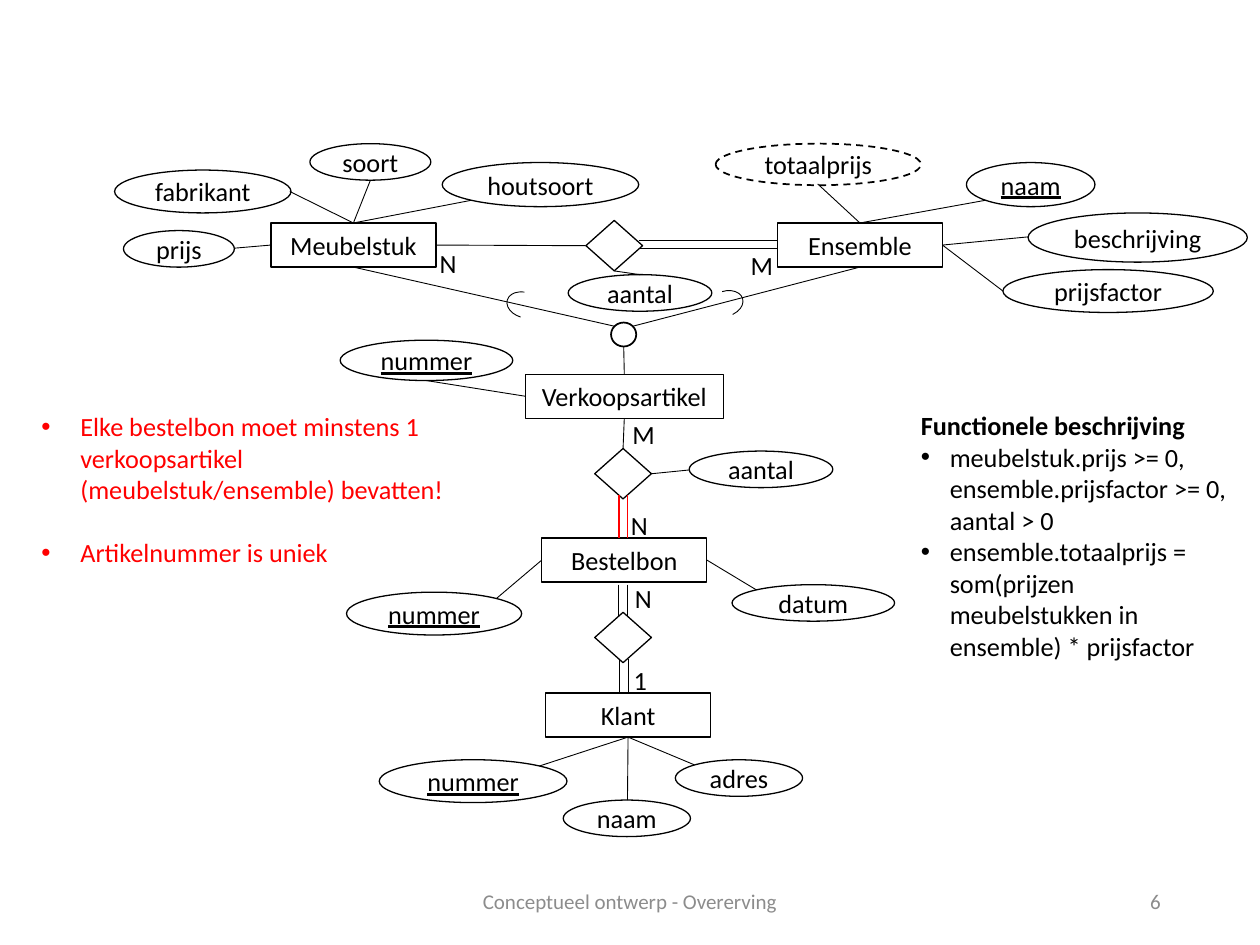
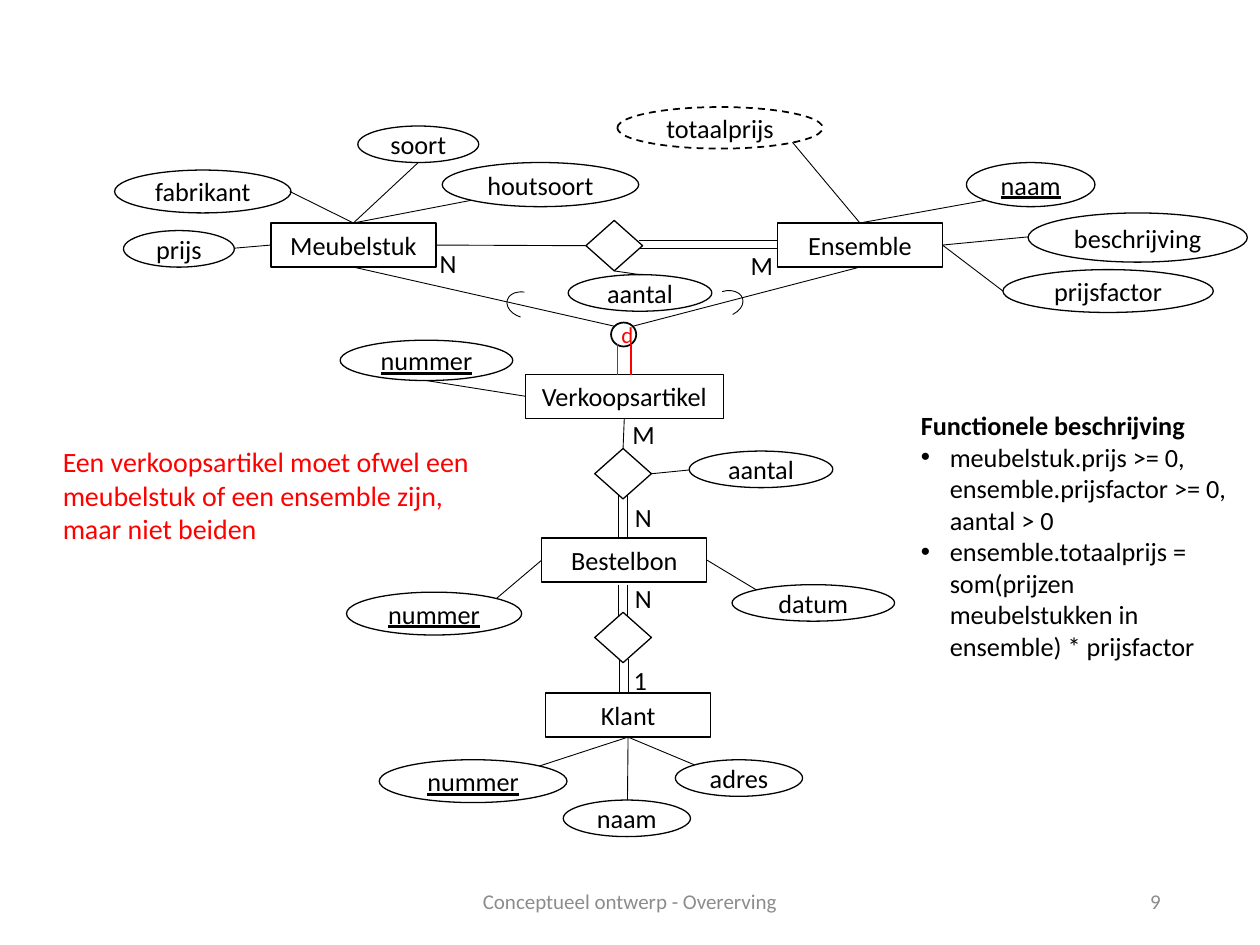
from dataclasses import dataclass
from typing import NamedTuple, Optional, Union

from lxml import etree
from pptx import Presentation
from pptx import util as u
from pptx.dml.color import RGBColor
from pptx.enum import dml, shapes, text
from pptx.oxml import ns

FONT = "Calibri"
BLACK, WHITE, RED, GREY = "000000", "FFFFFF", "FF0000", "8C8C8C"
SIZE = 15
ENTITY_HEIGHT = 0.35
DIAMOND_WIDTH, DIAMOND_HEIGHT = 0.45, 0.4
TOP, LEFT, BOTTOM, RIGHT = range(4)
CENTER = text.PP_ALIGN.CENTER
MIDDLE = text.MSO_ANCHOR.MIDDLE


class Box(NamedTuple):
    left: float
    top: float
    width: float
    height: float


class Entity(NamedTuple):
    name: str
    left: float
    top: float
    width: float = 1.31


class Relation(NamedTuple):
    name: str
    left: float
    top: float


class Attribute(NamedTuple):
    name: str
    box: Box
    is_key: bool = False
    is_derived: bool = False


class Joint(NamedTuple):
    name: str
    side: int


class Point(NamedTuple):
    x: float
    y: float


End = Union[Joint, Point]


class Link(NamedTuple):
    start: End
    end: End
    color: str = BLACK
    width: float = 0.5


class Label(NamedTuple):
    content: str
    box: Box


@dataclass
class Line:
    content: str
    color: str = BLACK
    size: float = SIZE
    bold: bool = False
    underline: bool = False
    align: Optional[text.PP_ALIGN] = None
    indent: float = 0
    space_before: float = 0


@dataclass
class Variant:
    number: str
    attributes: list[Attribute]
    links: list[Link]
    order_label: Label
    note: Box
    note_lines: list[Line]
    marker: Optional[Label] = None


def double(start: Point, end: Point, dx: float = 0, dy: float = 0,
           color: str = BLACK, width: float = 0.5) -> list[Link]:
    return [Link(Point(start.x + dx * n, start.y + dy * n),
                 Point(end.x + dx * n, end.y + dy * n), color, width) for n in (0, 1)]


ENTITIES = [
    Entity("Meubelstuk", 2.15, 1.77),
    Entity("Ensemble", 6.17, 1.77),
    Entity("Verkoopsartikel", 4.17, 2.97, 1.57),
    Entity("Bestelbon", 4.3, 4.27),
    Entity("Klant", 4.33, 5.5),
]
RELATIONS = [
    Relation("samenstelling", 4.65, 1.75),
    Relation("bestelling", 4.72, 3.56),
    Relation("klantbestelling", 4.72, 4.86),
]
ATTRIBUTES = [
    Attribute("houtsoort", Box(3.51, 1.29, 1.56, 0.35)),
    Attribute("fabrikant", Box(0.91, 1.35, 1.4, 0.34)),
    Attribute("prijs", Box(0.98, 1.83, 0.88, 0.29)),
    Attribute("naam", Box(7.67, 1.29, 1.02, 0.35), is_key=True),
    Attribute("beschrijving", Box(8.16, 1.69, 1.74, 0.39)),
    Attribute("prijsfactor", Box(7.96, 2.14, 1.67, 0.34)),
    Attribute("aantal", Box(4.51, 2.18, 1.14, 0.29)),
    Attribute("nummer", Box(2.7, 2.7, 1.37, 0.32), is_key=True),
    Attribute("aantal", Box(5.47, 3.58, 1.14, 0.29)),
    Attribute("nummer", Box(2.75, 4.7, 1.39, 0.34), is_key=True),
    Attribute("datum", Box(5.81, 4.64, 1.29, 0.29)),
    Attribute("nummer", Box(3.01, 6.03, 1.49, 0.34), is_key=True),
    Attribute("naam", Box(4.47, 6.35, 1.01, 0.29)),
    Attribute("adres", Box(5.36, 6.03, 1.01, 0.29)),
]
LINKS = [
    Link(Point(3.74, 1.59), Joint("Meubelstuk", TOP)),
    Link(Point(2.3, 1.52), Joint("Meubelstuk", TOP)),
    Link(Point(1.86, 1.97), Joint("Meubelstuk", LEFT)),
    Link(Point(7.82, 1.59), Joint("Ensemble", TOP)),
    Link(Point(8.16, 1.88), Joint("Ensemble", RIGHT)),
    Link(Point(7.96, 2.31), Joint("Ensemble", RIGHT)),
    Link(Joint("Meubelstuk", RIGHT), Joint("samenstelling", LEFT)),
    Link(Point(5.08, 2.18), Joint("samenstelling", BOTTOM)),
    Link(Joint("Meubelstuk", BOTTOM), Point(4.88, 2.59)),
    Link(Point(5.02, 2.59), Joint("Ensemble", BOTTOM)),
    Link(Joint("Verkoopsartikel", LEFT), Point(3.38, 3.02)),
    Link(Joint("bestelling", TOP), Joint("Verkoopsartikel", BOTTOM)),
    Link(Point(5.47, 3.73), Joint("bestelling", RIGHT)),
    Link(Joint("Bestelbon", LEFT), Point(3.94, 4.75)),
    Link(Joint("Bestelbon", RIGHT), Point(6, 4.68)),
    Link(Point(4.28, 6.08), Joint("Klant", BOTTOM)),
    Link(Point(4.98, 6.35), Joint("Klant", BOTTOM)),
    Link(Point(5.51, 6.07), Joint("Klant", BOTTOM)),
    *double(Point(5.07, 1.91), Point(6.17, 1.91), dy=0.06),
    *double(Point(4.91, 4.64), Point(4.91, 4.89), dx=0.07),
    *double(Point(4.92, 5.49), Point(4.92, 5.23), dx=0.07),
]
LABELS = [
    Label("N", Box(3.39, 1.91, 0.34, 0.35)),
    Label("M", Box(5.86, 1.93, 0.38, 0.35)),
    Label("M", Box(4.92, 3.27, 0.38, 0.35)),
    Label("N", Box(4.94, 4.57, 0.34, 0.35)),
    Label("1", Box(4.93, 5.22, 0.31, 0.35)),
]
INHERITANCE_CIRCLE = Box(4.85, 2.56, 0.2, 0.19)
INHERITANCE_ARCS = [(Box(4.02, 2.32, 0.28, 0.2), 196.4), (Box(5.62, 2.31, 0.28, 0.2), 343.2)]
DESCRIPTION = [
    Line("Functionele beschrijving", bold=True),
    Line("meubelstuk.prijs >= 0, ensemble.prijsfactor >= 0, aantal > 0", indent=0.23),
    Line("ensemble.totaalprijs = som(prijzen meubelstukken in ensemble) * prijsfactor", indent=0.23),
]
ORDER_START, ORDER_END = Point(4.91, 4.27), Point(4.91, 3.93)
VARIANTS = [
    Variant(
        "6",
        [Attribute("soort", Box(2.46, 1.14, 0.96, 0.29)),
         Attribute("totaalprijs", Box(5.68, 1.14, 1.63, 0.33), is_derived=True)],
        [Link(Point(2.94, 1.43), Joint("Meubelstuk", TOP)),
         Link(Point(6.49, 1.46), Joint("Ensemble", TOP)),
         Link(Point(4.95, 2.75), Joint("Verkoopsartikel", TOP)),
         *double(ORDER_START, ORDER_END, dx=0.07, color=RED, width=1)],
        Label("N", Box(4.91, 3.99, 0.34, 0.35)),
        Box(0.23, 3.21, 3.43, 1.36),
        [Line("Elke bestelbon moet minstens 1 verkoopsartikel (meubelstuk/ensemble) bevatten!",
              RED, indent=0.31),
         Line("Artikelnummer is uniek", RED, indent=0.31, space_before=18)],
    ),
    Variant(
        "9",
        [Attribute("soort", Box(2.84, 1, 0.96, 0.29)),
         Attribute("totaalprijs", Box(4.9, 0.85, 1.63, 0.33), is_derived=True)],
        [Link(Point(3.32, 1.29), Joint("Meubelstuk", TOP)),
         Link(Point(6.29, 1.13), Joint("Ensemble", TOP)),
         *double(ORDER_START, ORDER_END, dx=0.07),
         *double(Point(4.9, 2.98), Point(4.9, 2.73), dx=0.11, color=RED, width=1)],
        Label("N", Box(4.94, 3.93, 0.34, 0.35)),
        Box(0.4, 3.48, 3.43, 0.91),
        [Line("Een verkoopsartikel moet ofwel een meubelstuk of een ensemble zijn, "
              "maar niet beiden", RED, 16)],
        Label("d", Box(4.86, 2.5, 0.17, 0.32)),
    ),
]


def rgb(color: str) -> RGBColor:
    return RGBColor.from_string(color)


def inches(values) -> list[u.Length]:
    return [u.Inches(value) for value in values]


def write(shape, lines: list[Line], wrap: bool = True, anchor=text.MSO_ANCHOR.TOP) -> None:
    frame = shape.text_frame
    frame.word_wrap = wrap
    frame.vertical_anchor = anchor
    for number, line in enumerate(lines):
        paragraph = frame.add_paragraph() if number else frame.paragraphs[0]
        paragraph.alignment = line.align or text.PP_ALIGN.LEFT
        paragraph.space_before = u.Pt(line.space_before)
        if line.indent:
            properties = paragraph._p.get_or_add_pPr()
            properties.set("marL", str(u.Inches(line.indent)))
            properties.set("indent", str(-u.Inches(line.indent)))
            etree.SubElement(properties, ns.qn("a:buFont")).set("typeface", "Arial")
            etree.SubElement(properties, ns.qn("a:buChar")).set("char", "•")
        run = paragraph.add_run()
        run.text = line.content
        run.font.name = FONT
        run.font.size = u.Pt(line.size)
        run.font.bold = line.bold
        run.font.underline = line.underline
        run.font.color.rgb = rgb(line.color)


def add_shape(slide, kind, box: Box, fill: Optional[str] = None,
              line: Optional[float] = 0.75):
    shape = slide.shapes.add_shape(kind, *inches(box))
    shape.shadow.inherit = False
    if fill:
        shape.fill.solid()
        shape.fill.fore_color.rgb = rgb(fill)
    else:
        shape.fill.background()
    if line:
        shape.line.color.rgb = rgb(BLACK)
        shape.line.width = u.Pt(line)
    else:
        shape.line.fill.background()
    return shape


def add_text(slide, box: Box, lines: list[Line], wrap: bool = True,
             anchor=text.MSO_ANCHOR.TOP) -> None:
    write(slide.shapes.add_textbox(*inches(box)), lines, wrap, anchor)


def add_attribute(slide, attribute: Attribute) -> None:
    shape = add_shape(slide, shapes.MSO_SHAPE.OVAL, attribute.box, WHITE,
                      1 if attribute.is_derived else 0.75)
    if attribute.is_derived:
        shape.line.dash_style = dml.MSO_LINE.DASH
    write(shape, [Line(attribute.name, underline=attribute.is_key, align=CENTER)], False, MIDDLE)


def add_link(slide, link: Link, nodes: dict) -> None:
    points = [end if isinstance(end, Point) else Point(0, 0) for end in (link.start, link.end)]
    connector = slide.shapes.add_connector(
        shapes.MSO_CONNECTOR.STRAIGHT, *inches(points[0]), *inches(points[1]))
    for end, connect in ((link.start, connector.begin_connect), (link.end, connector.end_connect)):
        if isinstance(end, Joint):
            connect(nodes[end.name], end.side)
    connector.line.color.rgb = rgb(link.color)
    connector.line.width = u.Pt(link.width)
    etree.SubElement(connector._element.spPr, ns.qn("a:effectLst"))


def add_diagram(slide, variant: Variant) -> None:
    nodes = {}
    for entity in ENTITIES:
        box = Box(entity.left, entity.top, entity.width, ENTITY_HEIGHT)
        nodes[entity.name] = add_shape(slide, shapes.MSO_SHAPE.RECTANGLE, box)
        write(nodes[entity.name], [Line(entity.name, align=CENTER)])
    for relation in RELATIONS:
        box = Box(relation.left, relation.top, DIAMOND_WIDTH, DIAMOND_HEIGHT)
        nodes[relation.name] = add_shape(slide, shapes.MSO_SHAPE.DIAMOND, box, WHITE)
    for attribute in ATTRIBUTES + variant.attributes:
        add_attribute(slide, attribute)
    add_shape(slide, shapes.MSO_SHAPE.OVAL, INHERITANCE_CIRCLE, line=1)
    for box, rotation in INHERITANCE_ARCS:
        arc = add_shape(slide, shapes.MSO_SHAPE.ARC, box, line=0.5)
        arc.rotation = rotation
        arc.adjustments[0], arc.adjustments[1] = 162, 44.44
    if variant.marker:
        add_text(slide, variant.marker.box, [Line(variant.marker.content, RED, 13, align=CENTER)])
    for link in LINKS + variant.links:
        add_link(slide, link, nodes)
    for label in LABELS + [variant.order_label]:
        add_text(slide, label.box, [Line(label.content)], wrap=False)


def add_footer(slide, number: str) -> None:
    add_text(slide, Box(3.31, 6.95, 3.38, 0.4),
             [Line("Conceptueel ontwerp - Overerving", GREY, 12, align=CENTER)], anchor=MIDDLE)
    add_text(slide, Box(7.06, 6.95, 2.25, 0.4),
             [Line(number, GREY, 12, align=text.PP_ALIGN.RIGHT)], anchor=MIDDLE)


def main() -> None:
    presentation = Presentation()
    presentation.slide_width, presentation.slide_height = inches((10, 7.5))
    for variant in VARIANTS:
        slide = presentation.slides.add_slide(presentation.slide_layouts[6])
        note = add_shape(slide, shapes.MSO_SHAPE.RECTANGLE, variant.note, WHITE, None)
        write(note, variant.note_lines)
        add_text(slide, Box(7.21, 3.2, 2.7, 2.12), DESCRIPTION)
        add_diagram(slide, variant)
        add_footer(slide, variant.number)
    presentation.save("out.pptx")


if __name__ == "__main__":
    main()
